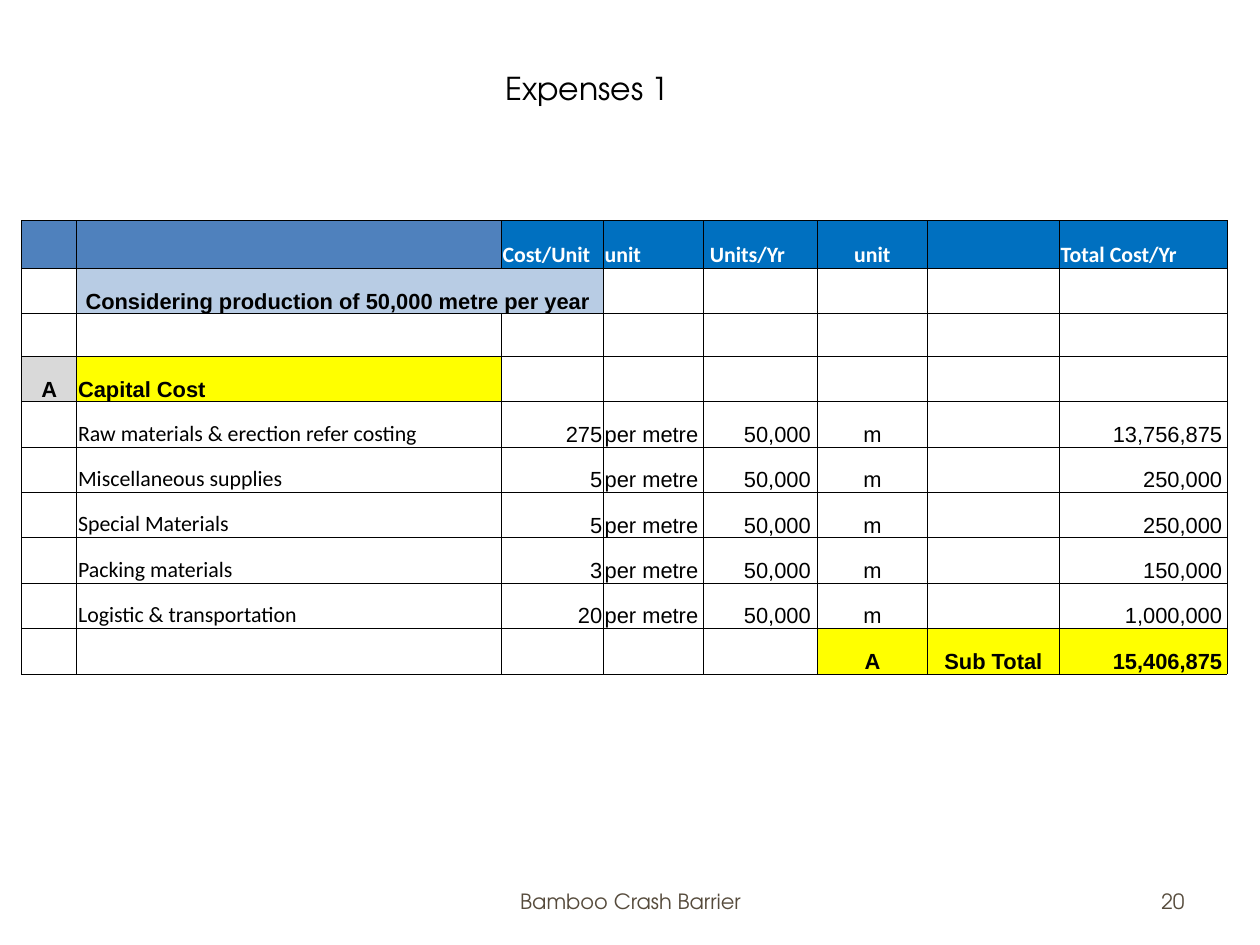
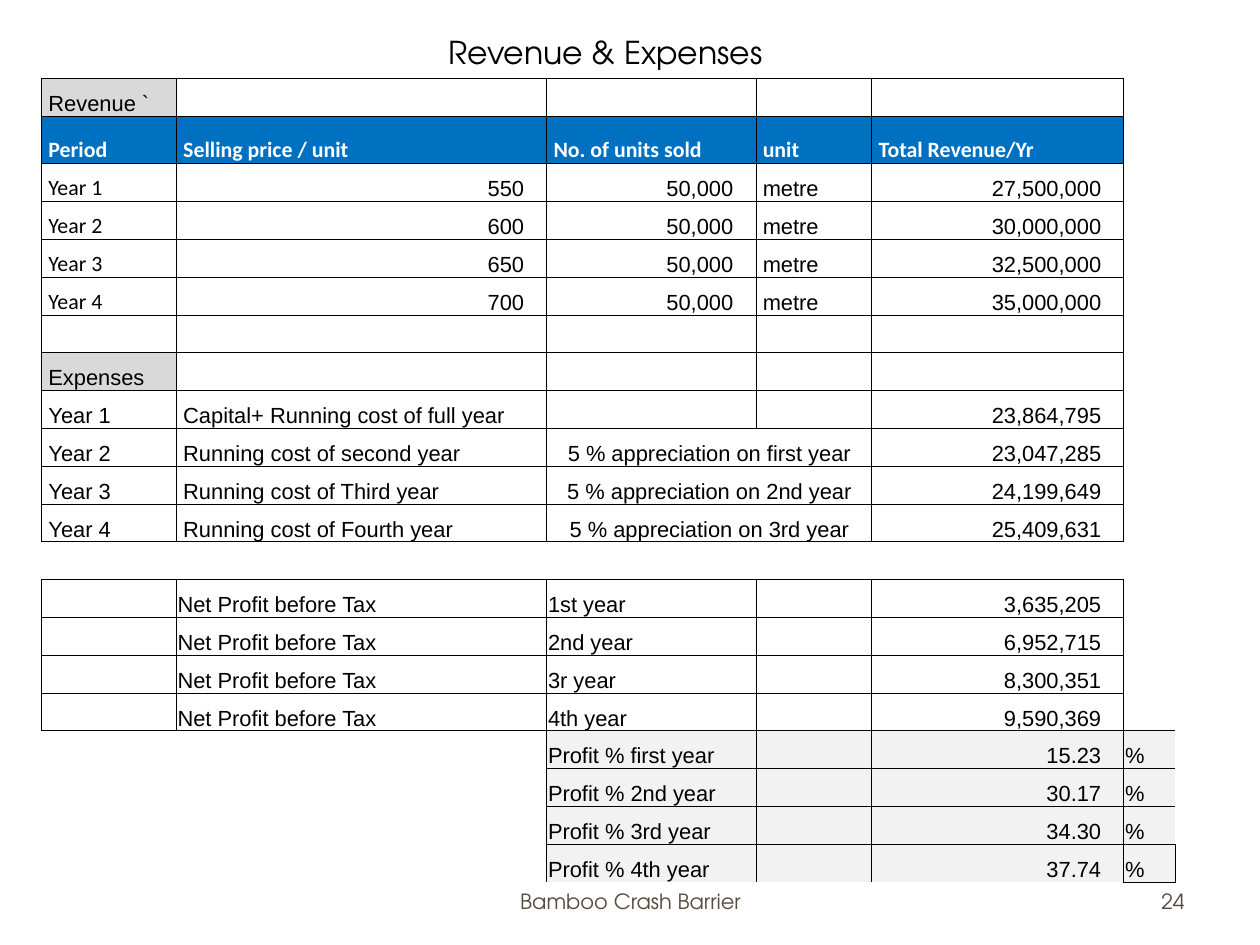
from lxml import etree
from pptx import Presentation
from pptx import util as u
from pptx.dml import color
from pptx.enum import text
from pptx.oxml import ns

deck = Presentation()
deck.slide_width, deck.slide_height = u.Inches(10), u.Inches(7.5)
COLUMN, ROW = deck.slide_width / 100, deck.slide_height / 75

BLACK, WHITE, BROWN = "000000", "FFFFFF", "564B3C"
BLUE, STEEL, PALE_BLUE = "0070C0", "4F81BD", "B8CCE4"
YELLOW, GREY, PALE_GREY = "FFFF00", "D9D9D9", "F2F2F2"
DISPLAY, SANS, LABEL = "TeX Gyre Adventor", "Arial", "Calibri"
LEFT, CENTER, RIGHT = text.PP_ALIGN.LEFT, text.PP_ALIGN.CENTER, text.PP_ALIGN.RIGHT
TOP, MIDDLE, BOTTOM = (text.MSO_ANCHOR.TOP, text.MSO_ANCHOR.MIDDLE,
                       text.MSO_ANCHOR.BOTTOM)

TABLE_SIZE = u.Pt(12.5)
TIGHT, INDENT, INSET = 0.1, 0.55, 1.8
SIDES = {"L": (0, -1), "R": (0, 1), "T": (-1, 0), "B": (1, 0)}
PLAIN = {"name": SANS, "bold": False, "ink": BLACK, "align": LEFT,
         "left": TIGHT, "right": TIGHT, "fill": None}
HEADER = {"name": LABEL, "bold": True, "ink": WHITE, "fill": BLUE}


def rgb(value):
    return color.RGBColor.from_string(value)


def across(columns):
    return u.Emu(round(columns * COLUMN))


def down(rows):
    return u.Emu(round(rows * ROW))


def place(box):
    left, top, width, height = box
    return across(left), down(top), across(width), down(height)


def apply(target, values):
    for name, value in values.items():
        setattr(target, name, value)


def write(paragraph, wording, align, ink, **font):
    paragraph.alignment = align
    run = paragraph.add_run()
    run.text = wording
    apply(run.font, font)
    run.font.color.rgb = rgb(ink)


def heading(slide, box, wording):
    title = slide.shapes.title
    apply(title, dict(zip(("left", "top", "width", "height"), place(box))))
    apply(title.text_frame, {"word_wrap": True, "vertical_anchor": TOP,
                             "auto_size": text.MSO_AUTO_SIZE.SHAPE_TO_FIT_TEXT})
    write(title.text_frame.paragraphs[0], wording, LEFT, BLACK,
          name=DISPLAY, size=u.Pt(18))


def footer(slide, top, number):
    for wording, left, width, align in (("Bamboo Crash Barrier", 34.2, 31.7, CENTER),
                                        (number, 71.7, 23.3, RIGHT)):
        frame = slide.shapes.add_textbox(*place((left, top, width, 4))).text_frame
        apply(frame, {"word_wrap": True, "vertical_anchor": MIDDLE})
        write(frame.paragraphs[0], wording, align, BROWN,
              name=DISPLAY, size=u.Pt(12))


def rule_cell(cell, drawn):
    properties = cell._tc.get_or_add_tcPr()
    for side in SIDES:
        line = etree.SubElement(properties, ns.qn("a:ln" + side), w=str(u.Pt(0.5)))
        if side in drawn:
            paint = etree.SubElement(line, ns.qn("a:solidFill"))
            etree.SubElement(paint, ns.qn("a:srgbClr"), val=BLACK)
        else:
            etree.SubElement(line, ns.qn("a:noFill"))


def fill_cell(cell, wording, look, drawn):
    apply(cell, {"margin_left": across(look["left"]),
                 "margin_right": across(look["right"]),
                 "margin_top": down(TIGHT), "margin_bottom": 0,
                 "vertical_anchor": BOTTOM})
    rule_cell(cell, drawn)
    if look["fill"]:
        cell.fill.solid()
        cell.fill.fore_color.rgb = rgb(look["fill"])
    else:
        cell.fill.background()
    paragraph = cell.text_frame.paragraphs[0]
    if wording:
        write(paragraph, wording, look["align"], look["ink"],
              name=look["name"], bold=look["bold"], size=TABLE_SIZE)
    else:
        etree.SubElement(paragraph._p, ns.qn("a:endParaRPr"),
                         sz=str(round(TABLE_SIZE.pt * 100)))


def ledger(slide, origin, widths, heights, entries, look, edges, spans):
    box = (*origin, sum(widths), sum(heights))
    table = slide.shapes.add_table(len(heights), len(widths), *place(box)).table
    apply(table, {"first_row": False, "horz_banding": False})
    for column, width in zip(table.columns, widths):
        column.width = across(width)
    for row, height in zip(table.rows, heights):
        row.height = down(height)
    for r, entry in enumerate(entries):
        for c in range(len(widths)):
            wording = entry[c] if c < len(entry) else ""
            fill_cell(table.cell(r, c), wording, PLAIN | look(r, c), edges(r, c))
    for r, first, last in spans:
        table.cell(r, first).merge(table.cell(r, last))


COSTS = (("Raw materials & erection refer costing", "275", "13,756,875"),
         ("Miscellaneous supplies", "5", "250,000"),
         ("Special Materials", "5", "250,000"),
         ("Packing materials", "3", "150,000"),
         ("Logistic & transportation", "20", "1,000,000"))
EXPENSES = [
    ("", "", "Cost/Unit", "unit", "Units/Yr", "unit", "", "Total Cost/Yr"),
    ("", "Considering production of 50,000 metre per year"),
    (),
    ("A", "Capital Cost"),
    *(("", item, cost, "per metre", "50,000", "m", "", total)
      for item, cost, total in COSTS),
    ("", "", "", "", "", "A", "Sub Total", "15,406,875"),
]


def expense_look(row, col):
    if row == 0:
        return HEADER | {"fill": STEEL if col < 2 else BLUE,
                         "align": CENTER if col == 5 else LEFT,
                         "left": INDENT if col == 4 else TIGHT}
    if row == 1 and col in (1, 2):
        return {"bold": True, "align": CENTER, "fill": PALE_BLUE, "right": INDENT}
    if row == 3 and col < 2:
        return ({"bold": True, "align": CENTER, "fill": GREY},
                {"bold": True, "fill": YELLOW})[col]
    subtotal = {"bold": True, "fill": YELLOW} if row == 9 and col > 4 else {}
    by_column = {1: {"name": LABEL}, 2: {"align": RIGHT},
                 4: {"align": RIGHT, "right": INDENT},
                 5: {"align": CENTER}, 6: {"align": CENTER},
                 7: {"align": RIGHT, "right": 0.4}}
    return by_column.get(col, {}) | subtotal


def expense_edges(row, col):
    return set(SIDES)


SALES = (("550", "27,500,000"), ("600", "30,000,000"),
         ("650", "32,500,000"), ("700", "35,000,000"))
RUNNING = (("Capital+ Running cost of full year", "", "23,864,795"),
           ("Running cost of second year", "5 % appreciation on first year", "23,047,285"),
           ("Running cost of Third year", "5 % appreciation on 2nd year", "24,199,649"),
           ("Running cost of Fourth year", "5 % appreciation on 3rd year", "25,409,631"))
PROFITS = (("1st year", "3,635,205"), ("2nd year", "6,952,715"),
           ("3r year", "8,300,351"), ("4th year", "9,590,369"))
MARGINS = (("first", "15.23"), ("2nd", "30.17"), ("3rd", "34.30"), ("4th", "37.74"))
REVENUE = [
    ("Revenue `",),
    ("Period", "Selling price / unit", "No. of units sold", "unit", "Total Revenue/Yr"),
    *((f"Year {n}", price, "50,000", "metre", total)
      for n, (price, total) in enumerate(SALES, 1)),
    (),
    ("Expenses",),
    *((f"Year {n}", cost, note, "", total)
      for n, (cost, note, total) in enumerate(RUNNING, 1)),
    (),
    *(("", "Net Profit before Tax", year, "", profit) for year, profit in PROFITS),
    *(("", "", f"Profit % {year} year", "", share, "%") for year, share in MARGINS),
]
SALES_END, GAP, MARGIN_START, LAST = 5, 12, 17, 20


def revenue_look(row, col):
    if row == 1 and col < 5:
        return HEADER | {"left": INDENT}
    look = {"left": INDENT if row < GAP else TIGHT}
    if row in (0, 7) and col == 0:
        look["fill"] = GREY
    if row >= MARGIN_START and col > 1:
        look["fill"] = PALE_GREY
    if 2 <= row <= SALES_END and col == 0:
        look["name"] = LABEL
    if col == 4 or (2 <= row <= SALES_END and col in (1, 2)):
        look |= {"align": RIGHT, "right": INSET}
    elif 9 <= row < GAP and col == 2:
        look |= {"align": CENTER, "right": INDENT}
    return look


def boxed(row, col):
    if row >= MARGIN_START:
        return row <= LAST and 2 <= col <= 5
    return row != GAP and 0 <= row and 0 <= col <= 4


def revenue_edges(row, col):
    drawn = {side for side, (dr, dc) in SIDES.items()
             if boxed(row, col) or boxed(row + dr, col + dc)}
    if row == LAST and col < 5:
        drawn.discard("B")
    if row < LAST and col == 5:
        drawn.discard("R")
    return drawn


def finance_slide(title, title_box, number, **grid):
    slide = deck.slides.add_slide(deck.slide_layouts.get_by_name("Title Only"))
    heading(slide, title_box, title)
    footer(slide, 69.5, number)
    ledger(slide, **grid)


finance_slide("Expenses 1", (39.1, 5, 18.4, 4), "20", origin=(1.7, 17.5),
              widths=(4.4, 33.7, 8.1, 7.9, 9.1, 8.7, 10.5, 13.3),
              heights=(3.8, 3.6, 3.4, *[3.6] * 7), entries=EXPENSES,
              look=expense_look, edges=expense_edges, spans=[(1, 1, 2)])
finance_slide("Revenue & Expenses", (34.6, 2.1, 28.1, 4), "24", origin=(3.3, 6.2),
              widths=(10.7, 29.4, 16.6, 9.2, 20, 4.1),
              heights=(3, 3.8, *[3] * 19), entries=REVENUE,
              look=revenue_look, edges=revenue_edges,
              spans=[(row, 2, 3) for row in range(9, GAP)])
deck.save("out.pptx")
